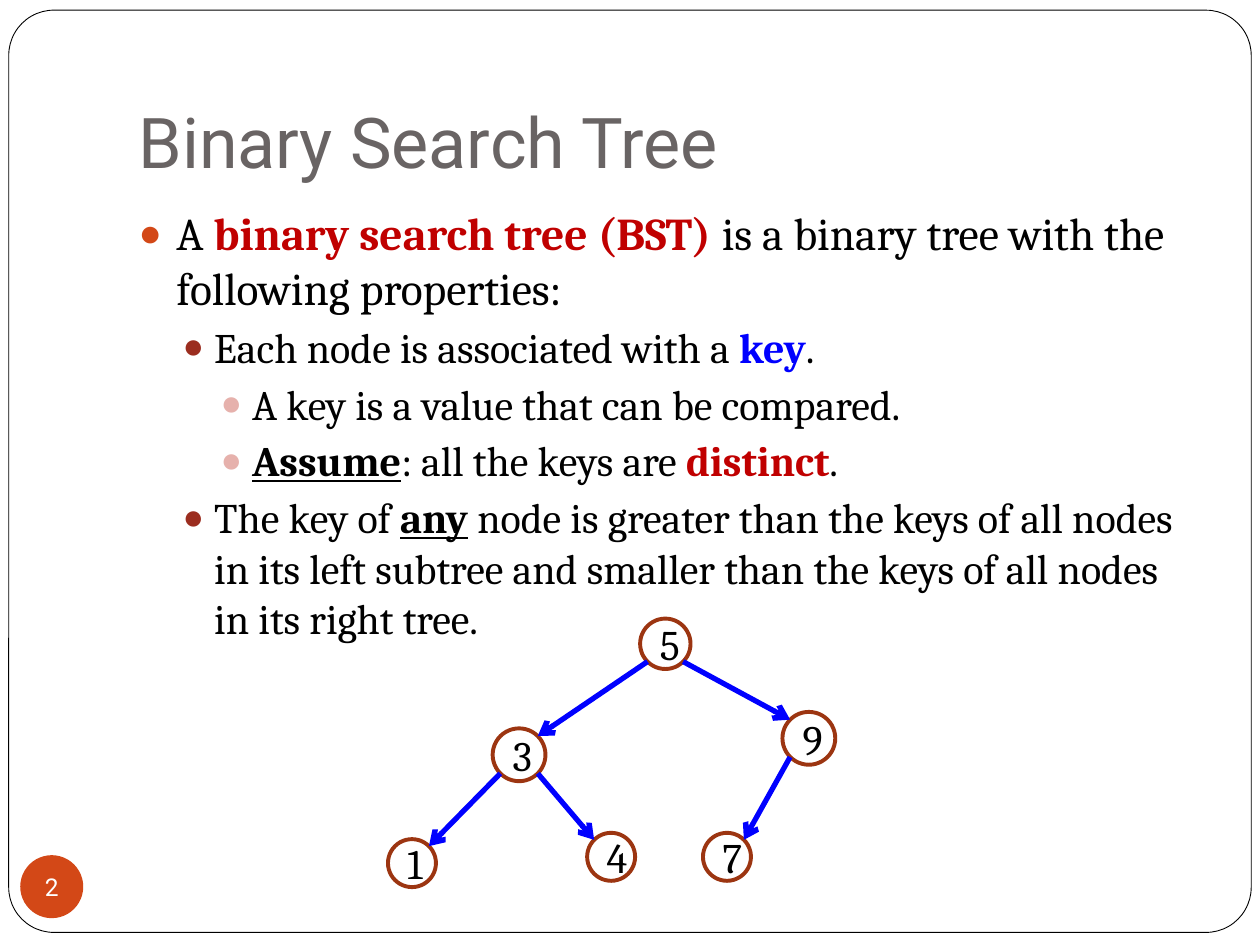
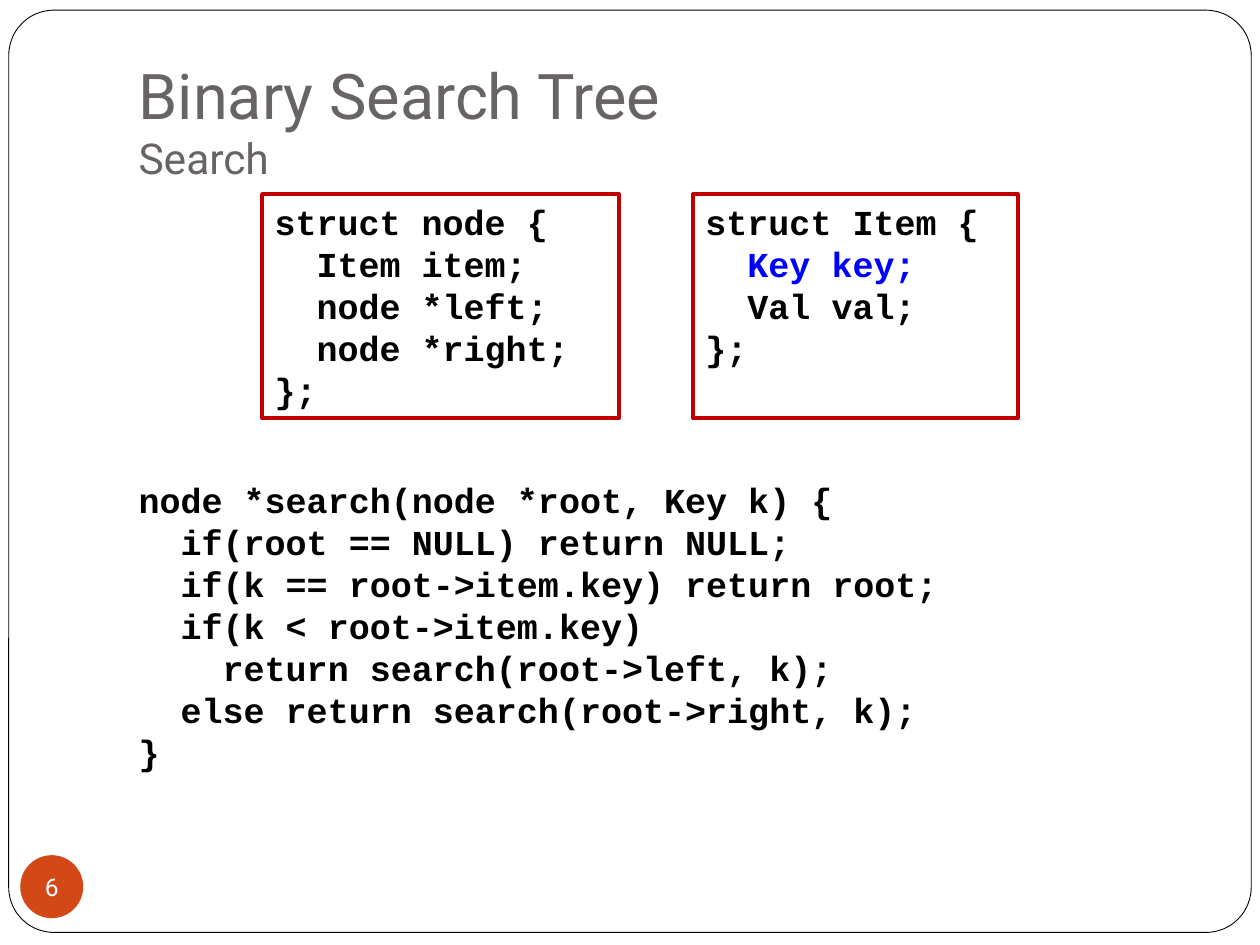
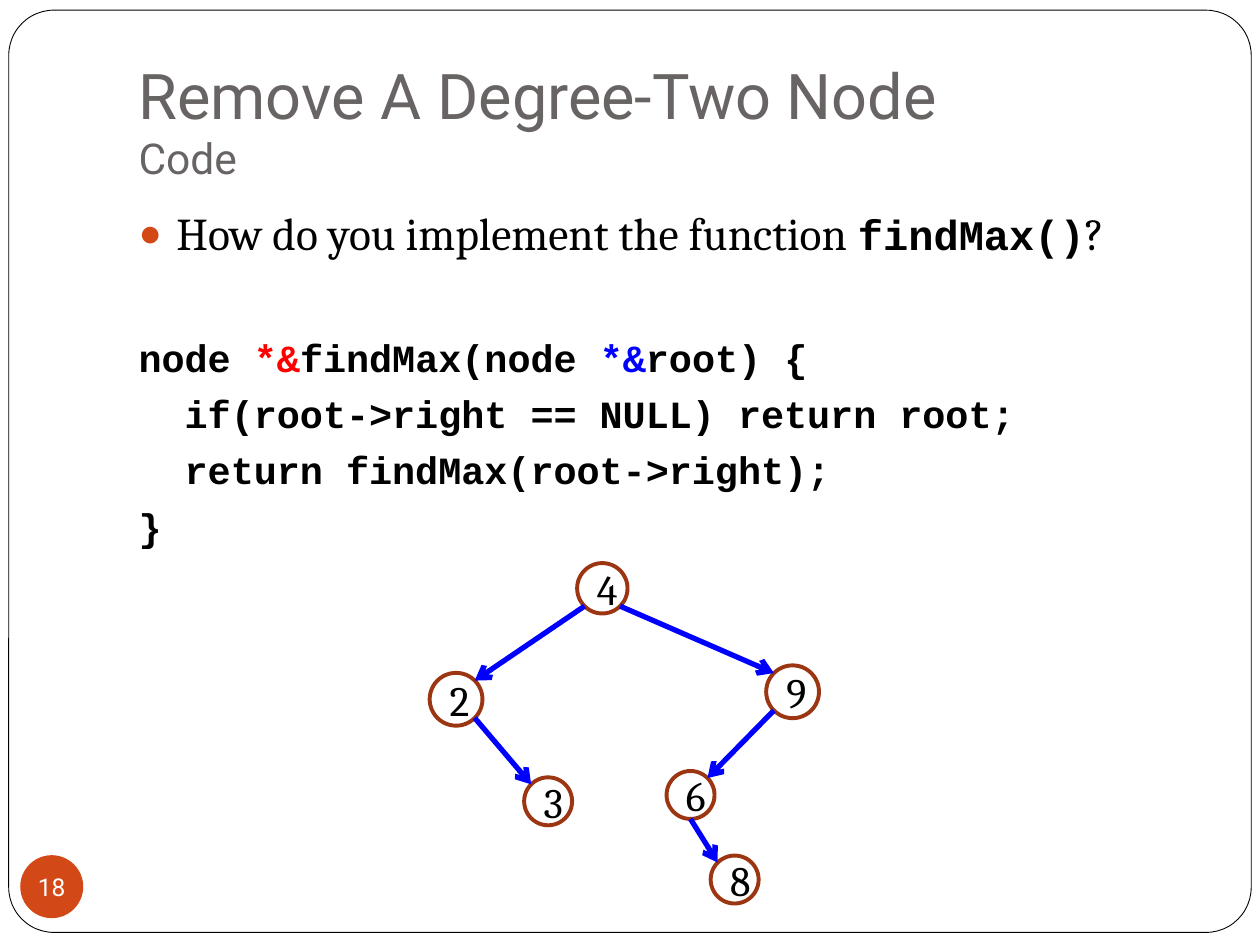
import math
from dataclasses import dataclass

import pptx
import pptx.dml.color
import pptx.enum.shapes
import pptx.enum.text
import pptx.oxml
import pptx.oxml.ns
import pptx.util

Pt = pptx.util.Pt
RGB = pptx.dml.color.RGBColor.from_string
SHAPE = pptx.enum.shapes.MSO_SHAPE
ANCHOR = pptx.enum.text.MSO_ANCHOR
ALIGN = pptx.enum.text.PP_ALIGN
qn = pptx.oxml.ns.qn


@dataclass(frozen=True)
class Theme:
    heading: str = "Roboto"
    serif: str = "Cambria"
    mono: str = "Courier New"
    black: str = "000000"
    white: str = "FFFFFF"
    grey: str = "696464"
    orange: str = "D34817"
    crimson: str = "C00000"
    red: str = "FF0000"
    blue: str = "0000FF"
    node: str = "9C3511"
    bullets: tuple = ("D34817", "9B2D1F", "E6B1AC")
    title: float = 40
    title_small: float = 36
    subtitle: float = 24.3
    number: float = 14
    text: float = 26
    subtext: float = 24
    code: float = 20
    code_large: float = 22


T = Theme()
TITLE_BOX = (72, 21.6, 612, 90)
BODY_BOX = (72, 113.8, 612, 360)
LEVELS = ((21.6, -21.6, 5.8, T.text), (43.2, -18, 3.7, T.subtext), (64.8, -18, 3.7, T.subtext))
DIAMETERS = (28.8, 30.2, 27.4, 27.4)
STRONG = dict(bold=True, color=T.crimson)
KEYWORD = dict(bold=True, color=T.blue)
STRESS = dict(bold=True, underline=True)
CODE_WORD = dict(name=T.mono, size=T.subtext, bold=True)


def style(font, name=None, size=None, color=None, bold=None, underline=None):
    if name:
        font.name = name
    if size:
        font.size = Pt(size)
    if color:
        font.color.rgb = RGB(color)
    if bold is not None:
        font.bold = bold
    if underline:
        font.underline = True


def write(p, runs, **base):
    style(p.font, **base)
    for text, look in runs:
        for i, line in enumerate(text.split("\n")):
            if i:
                p.add_line_break()
            if line:
                r = p.add_run()
                r.text = line
                style(r.font, **look)


def place(sp, box):
    sp.left, sp.top, sp.width, sp.height = map(Pt, box)


def add_xml(parent, tag, **attrs):
    child = pptx.oxml.parse_xml(
        f'<a:{tag} xmlns:a="http://schemas.openxmlformats.org/drawingml/2006/main"/>')
    for key, value in attrs.items():
        child.set(key, value)
    parent.append(child)
    return child


def add_shape(shapes, kind, box, fill=None, line=None, width=0):
    sp = shapes.add_shape(kind, *map(Pt, box))
    sp.shadow.inherit = False
    if fill:
        sp.fill.solid()
        sp.fill.fore_color.rgb = RGB(fill)
    else:
        sp.fill.background()
    if line:
        sp.line.color.rgb = RGB(line)
        sp.line.width = Pt(width)
    else:
        sp.line.fill.background()
    return sp


def add_frame(layout, s):
    sp = add_shape(s.shapes, SHAPE.ROUNDED_RECTANGLE, (5, 5.8, 710, 527), T.white, T.black, 0.5)
    sp.adjustments[0] = 0.049
    sp.element.nvSpPr.cNvPr.set("id", "99")
    layout.shapes.element.insert(2, sp.element)


def add_title(s, box, title, subtitle=None):
    sp = s.shapes.title
    place(sp, box)
    tf = sp.text_frame
    tf.auto_size = pptx.enum.text.MSO_AUTO_SIZE.NONE
    tf.vertical_anchor = ANCHOR.BOTTOM
    tf.margin_bottom = Pt(7.2)
    p = tf.paragraphs[0]
    p.alignment = ALIGN.LEFT
    runs = [(title, {})]
    if subtitle:
        runs.append(("\n" + subtitle, dict(size=T.subtitle)))
    write(p, runs, name=T.heading, color=T.grey, size=T.title_small if subtitle else T.title)


def add_number(s, box, number):
    sp = add_shape(s.shapes, SHAPE.OVAL, box, T.orange)
    tf = sp.text_frame
    tf.margin_left = tf.margin_right = tf.margin_top = tf.margin_bottom = 0
    tf.word_wrap = False
    tf.vertical_anchor = ANCHOR.MIDDLE
    p = tf.paragraphs[0]
    p.alignment = ALIGN.CENTER
    write(p, [(str(number), {})], name=T.heading, size=T.number, color=T.white)


def add_slide(prs, layout, number, title, subtitle=None):
    s = prs.slides.add_slide(layout)
    add_title(s, TITLE_BOX, title, subtitle)
    add_number(s, (11.6, 488.7, 36, 36), number)
    return s


def open_body(s, box):
    sp = s.placeholders[1]
    place(sp, box)
    tf = sp.text_frame
    tf.auto_size = pptx.enum.text.MSO_AUTO_SIZE.NONE
    return tf


def next_paragraph(tf):
    p = tf.paragraphs[0]
    return tf.add_paragraph() if p.runs else p


def add_bullet(tf, level, runs):
    margin, indent, before, size = LEVELS[level]
    p = next_paragraph(tf)
    p.level = level
    p.space_before = Pt(before)
    pPr = p._p.get_or_add_pPr()
    pPr.set("marL", str(Pt(margin)))
    pPr.set("indent", str(Pt(indent)))
    add_xml(add_xml(pPr, "buClr"), "srgbClr", val=T.bullets[level])
    add_xml(pPr, "buSzPct", val="85000")
    add_xml(pPr, "buFont", typeface="Arial")
    add_xml(pPr, "buChar", char="●")
    write(p, runs, name=T.serif, size=size, color=T.black)


def add_code(tf, runs, size, before=0):
    p = next_paragraph(tf)
    p.space_before = Pt(before)
    pPr = p._p.get_or_add_pPr()
    pPr.set("marL", "0")
    pPr.set("indent", "0")
    add_xml(pPr, "buNone")
    write(p, runs, name=T.mono, size=size, color=T.black, bold=True)


def add_struct(s, box, runs):
    sp = s.shapes.add_textbox(*map(Pt, box))
    sp.line.color.rgb = RGB(T.crimson)
    sp.line.width = Pt(2.25)
    sp.text_frame.word_wrap = True
    write(sp.text_frame.paragraphs[0], runs, name=T.mono, size=T.code, color=T.black, bold=True)


def add_node(shapes, x, y, d, key):
    sp = add_shape(shapes, SHAPE.OVAL, (x - d / 2, y - d / 2, d, d), line=T.node, width=2.25)
    tf = sp.text_frame
    tf.word_wrap = True
    tf.vertical_anchor = ANCHOR.MIDDLE
    p = tf.paragraphs[0]
    p.alignment = ALIGN.CENTER
    write(p, [(str(key), {})], name=T.serif, size=T.subtext, color=T.black)


def add_arrow(shapes, start, end):
    c = shapes.add_connector(pptx.enum.shapes.MSO_CONNECTOR.STRAIGHT, *map(Pt, start + end))
    c.line.color.rgb = RGB(T.blue)
    c.line.width = Pt(3)
    add_xml(c.line._get_or_add_ln(), "tailEnd", type="arrow")
    add_xml(c.element.spPr, "effectLst")


def rim(node, angle):
    x, y, d = node
    a = math.radians(angle)
    return x + d / 2 * math.cos(a), y + d / 2 * math.sin(a)


def add_tree(s, origin, nodes):
    shapes = s.shapes.add_group_shape().shapes
    left, top = origin
    placed = {}
    for key, depth, x, y, parent, leave in nodes:
        node = placed[key] = (left + x, top + y, DIAMETERS[depth])
        add_node(shapes, *node, key)
        if parent is not None:
            enter = -45 if x < placed[parent][0] - left else -135
            add_arrow(shapes, rim(placed[parent], leave), rim(node, enter))


def definition_slide(prs, layout):
    s = add_slide(prs, layout, 2, "Binary Search Tree")
    add_frame(layout, s)
    tf = open_body(s, BODY_BOX)
    bullets = [
        (0, [("A ", {}), ("binary search tree (BST)", STRONG),
             (" is a binary tree with the following properties:", {})]),
        (1, [("Each node is associated with a ", {}), ("key", KEYWORD), (".", {})]),
        (2, [("A key is a value that can be compared.", {})]),
        (2, [("Assume", STRESS), (": all the keys are ", {}), ("distinct", STRONG), (".", {})]),
        (1, [("The key of ", {}), ("any", STRESS),
             (" node is greater than the keys of all nodes in its left subtree "
              "and smaller than the keys of all nodes in its right tree.", {})]),
    ]
    for level, runs in bullets:
        add_bullet(tf, level, runs)
    add_tree(s, (222, 353.5), [
        (5, 0, 158.2, 14.4, None, None),
        (3, 1, 74.6, 77.8, 5, 135),
        (1, 2, 13.4, 139.7, 3, 135),
        (9, 1, 240.2, 68.4, 5, 45),
        (4, 2, 127.2, 136.1, 3, 45),
        (7, 2, 193.4, 136.1, 9, 135),
    ])


def search_slide(prs, layout):
    s = add_slide(prs, layout, 6, "Binary Search Tree", "Search")
    tf = open_body(s, (72, 270, 618.5, 234))
    add_code(tf, [("node *search(node *root, Key k) {\n"
                   "  if(root == NULL) return NULL;\n"
                   "  if(k == root->item.key) return root;\n"
                   "  if(k < root->item.key)\n"
                   "    return search(root->left, k);\n"
                   "  else return search(root->right, k);\n"
                   "}", {})], T.code)
    top, height = 110.9, 128.2
    add_struct(s, (149.8, top, 203.8, height), [
        ("struct node {\n  Item item;\n  node *left;\n  node *right;\n};", {})])
    add_struct(s, (396, top, 185.8, height), [
        ("struct Item {\n", {}), ("  Key key;\n", dict(color=T.blue)), ("  Val val;\n};", {})])


def find_max_slide(prs, layout):
    s = add_slide(prs, layout, 18, "Remove A Degree-Two Node", "Code")
    tf = open_body(s, BODY_BOX)
    add_bullet(tf, 0, [("How do you implement the function ", {}), ("findMax()", CODE_WORD), ("?", {})])
    add_code(tf, [("node ", {}), ("*&", dict(color=T.red)), ("findMax(node ", {}),
                  ("*&", dict(color=T.blue)), ("root) {", {})], T.code_large, 42)
    for line in ("  if(root->right == NULL) return root;", "  return findMax(root->right);", "}"):
        add_code(tf, [(line, {})], T.code_large, 5.8)
    add_tree(s, (245.5, 321.8), [
        (4, 0, 98.7, 14.4, None, None),
        (2, 1, 15.1, 77.8, 4, 135),
        (9, 1, 207.4, 73.5, 4, 45),
        (3, 2, 67.7, 136.1, 2, 45),
        (6, 2, 149.1, 132.5, 9, 135),
        (8, 3, 174.3, 180.8, 6, 90),
    ])


prs = pptx.Presentation()
prs.slide_width, prs.slide_height = Pt(720), Pt(540)
layout = prs.slide_layouts[1]
definition_slide(prs, layout)
search_slide(prs, layout)
find_max_slide(prs, layout)
prs.save("out.pptx")
